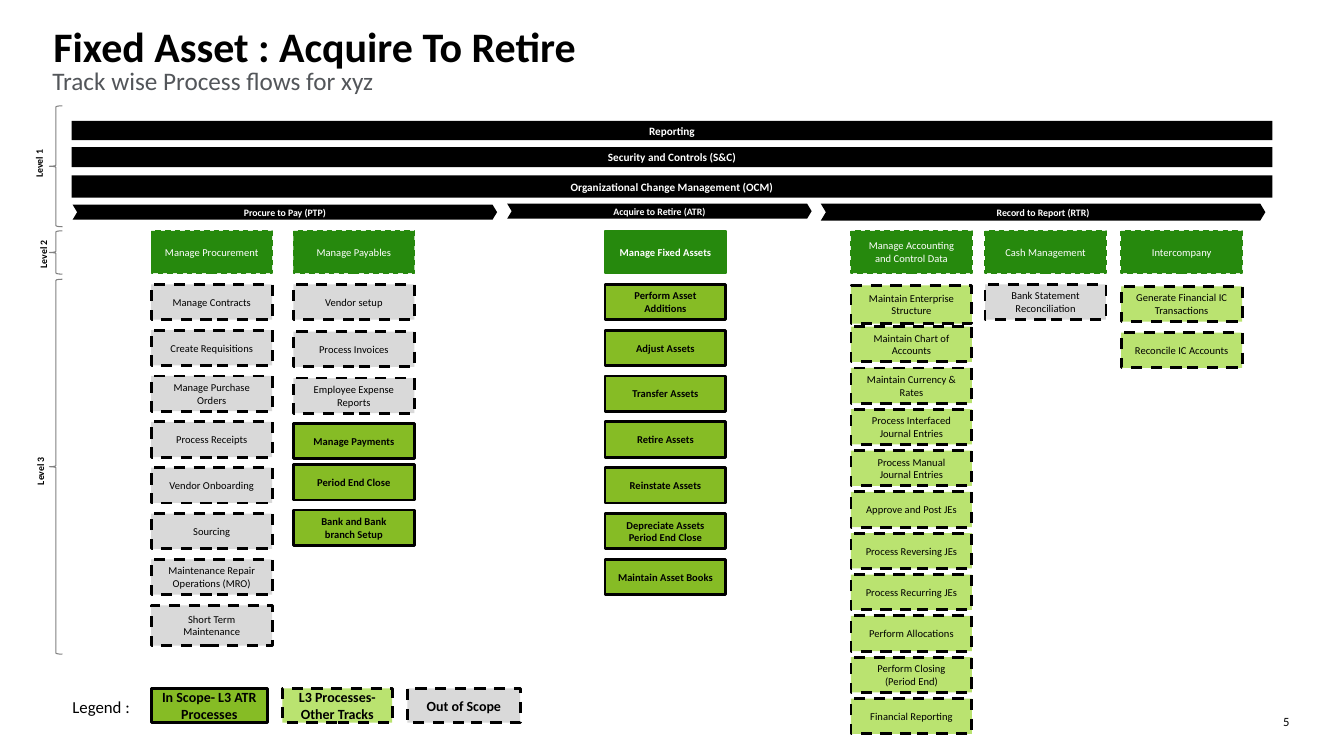
from pptx import Presentation
from pptx.dml.color import RGBColor
from pptx.enum import dml, shapes, text
from pptx.oxml import ns
from pptx.util import Inches, Pt
from lxml import etree

COLORS = {"black": "000000", "white": "FFFFFF", "green": "26890D", "lime": "86BC25",
          "pale": "BAE370", "grey": "D9D9D9", "brace": "808080", "subtitle": "53565A"}
STYLES = {
    "bar": ("black", None, 0, False, "white", True),
    "planned": ("green", "green", 1, True, "white", False),
    "active": ("green", "green", 1, False, "white", True),
    "in scope": ("lime", "black", 2, False, "black", True),
    "other": ("pale", "black", 2, True, "black", False),
    "out": ("grey", "black", 2, True, "black", False),
}


def write(frame, wording, size, color, bold=False, align=text.PP_ALIGN.LEFT, margin=None):
    frame.text = wording
    frame.word_wrap = True
    frame.auto_size = text.MSO_AUTO_SIZE.NONE
    if margin is not None:
        frame.margin_left = frame.margin_right = Inches(margin)
        frame.margin_top = frame.margin_bottom = Inches(margin)
    for paragraph in frame.paragraphs:
        paragraph.alignment = align
        paragraph.space_before = Pt(0)
        for run in paragraph.runs:
            run.font.name = "Calibri"
            run.font.size = Pt(size)
            run.font.bold = bold
            run.font.color.rgb = RGBColor.from_string(COLORS[color])


def add_box(wording, style, left, top, width, height, size=7.5, kind=shapes.MSO_SHAPE.RECTANGLE):
    fill, line, weight, dashed, ink, bold = STYLES[style]
    box = slide.shapes.add_shape(kind, Inches(left), Inches(top), Inches(width), Inches(height))
    box.shadow.inherit = False
    box.fill.solid()
    box.fill.fore_color.rgb = RGBColor.from_string(COLORS[fill])
    if line:
        box.line.color.rgb = RGBColor.from_string(COLORS[line])
        box.line.width = Pt(weight)
        if dashed:
            box.line.dash_style = dml.MSO_LINE.DASH
    else:
        box.line.fill.background()
    write(box.text_frame, wording, size, ink, bold or size == 10, text.PP_ALIGN.CENTER)
    box.text_frame.vertical_anchor = text.MSO_ANCHOR.MIDDLE
    return box


prs = Presentation()
prs.slide_width, prs.slide_height = Inches(13.33), Inches(7.5)
slide = prs.slides.add_slide(prs.slide_layouts[1])

title, subtitle = slide.placeholders
headings = [
    (title, "Fixed Asset : Acquire To Retire", 0.53, 0.2, 0.37, 30, "black", True),
    (subtitle, "Track wise Process flows for xyz", 0.52, 0.65, 0.4, 18, "subtitle", False),
]
for heading, wording, left, top, height, size, color, bold in headings:
    heading.left, heading.top = Inches(left), Inches(top)
    heading.width, heading.height = Inches(12.24), Inches(height)
    write(heading.text_frame, wording, size, color, bold, margin=0)
    heading.text_frame.vertical_anchor = text.MSO_ANCHOR.TOP
subtitle_format = subtitle.text_frame.paragraphs[0]._p.get_or_add_pPr()
subtitle_format.set("marL", "0")
subtitle_format.set("indent", "0")
etree.SubElement(subtitle_format, ns.qn("a:buNone"))

for wording, top, height in [("Reporting", 1.2, 0.19), ("Security and Controls (S&C)", 1.46, 0.2),
                             ("Organizational Change Management (OCM)", 1.74, 0.22)]:
    add_box(wording, "bar", 0.71, top, 11.91, height, 8)

for wording, left, top, width, height in [("Procure to Pay (PTP)", 0.72, 2.03, 4.21, 0.15),
                                          ("Acquire to Retire (ATR)", 5.03, 2.02, 3.02, 0.15),
                                          ("Record to Report (RTR)", 8.14, 2.02, 4.41, 0.17)]:
    track = add_box(wording, "bar", left, top, width, height, 7, shapes.MSO_SHAPE.CHEVRON)
    track.adjustments[0] = 0.3

for wording, top, height, label_left, label_top, label_width in [
        ("Level 1", 1.05, 1.2, 0.15, 1.51, 0.48),
        ("Level 2", 2.29, 0.43, 0.19, 2.41, 0.48),
        ("Level 3", 2.77, 3.72, 0.13, 4.53, 0.54)]:
    brace = slide.shapes.add_shape(shapes.MSO_SHAPE.LEFT_BRACE, Inches(0.49), Inches(top),
                                   Inches(0.13), Inches(height))
    brace.shadow.inherit = False
    brace.fill.background()
    brace.line.color.rgb = RGBColor.from_string(COLORS["brace"])
    brace.line.width = Pt(0.75)
    level = slide.shapes.add_textbox(Inches(label_left), Inches(label_top),
                                     Inches(label_width), Inches(0.22))
    level.rotation = 270
    write(level.text_frame, wording, 7, "black", True)
    level.text_frame.word_wrap = False

even_tops = [2.82 + 0.455 * row for row in range(8)]
dense_tops = [2.83 + 0.41 * row for row in range(11)]
payables_tops = [2.82, 3.29, 3.75, 4.2, 4.61, 5.06]
intercompany_tops = [2.84, 3.3]
tall_boxes = {"Short Term Maintenance": 0.4, "Maintain Enterprise Structure": 0.38}

columns = [
    ("Manage Procurement", "planned", 1.5, even_tops, [
        ("out", ["Manage Contracts", "Create Requisitions", "Manage Purchase Orders",
                 "Process Receipts", "Vendor Onboarding", "Sourcing",
                 "Maintenance Repair Operations (MRO)", "Short Term Maintenance"])]),
    ("Manage Payables", "planned", 2.91, payables_tops, [
        ("out", ["Vendor setup", "Process Invoices", "Employee Expense Reports"]),
        ("in scope", ["Manage Payments", "Period End Close", "Bank and Bank\vbranch Setup"])]),
    ("Manage Fixed Assets", "active", 6, even_tops, [
        ("in scope", ["Perform Asset Additions", "Adjust Assets", "Transfer Assets",
                      "Retire Assets", "Reinstate Assets",
                      "Depreciate Assets Period End Close", "Maintain Asset Books"])]),
    ("Manage Accounting and Control Data", "planned", 8.44, dense_tops, [
        ("other", ["Maintain Enterprise Structure", "Maintain Chart of Accounts",
                   "Maintain Currency & Rates", "Process Interfaced Journal Entries",
                   "Process Manual Journal Entries", "Approve and Post JEs",
                   "Process Reversing JEs", "Process Recurring JEs", "Perform Allocations",
                   "Perform Closing\n(Period End)", "Financial Reporting"])]),
    ("Cash Management", "planned", 9.77, even_tops, [("out", ["Bank Statement Reconciliation"])]),
    ("Intercompany", "planned", 11.12, intercompany_tops, [
        ("other", ["Generate Financial IC Transactions", "Reconcile IC Accounts"])]),
]
for area, area_style, left, tops, groups in columns:
    add_box(area, area_style, left, 2.29, 1.2, 0.42)
    processes = [(style, name) for style, names in groups for name in names]
    for top, (style, name) in zip(tops, processes):
        add_box(name, style, left, top, 1.2, tall_boxes.get(name, 0.35))

legend = slide.shapes.add_textbox(Inches(0.62), Inches(6.9), Inches(1), Inches(0.23))
write(legend.text_frame, "Legend :", 12, "black")
legend.text_frame.vertical_anchor = text.MSO_ANCHOR.MIDDLE
for wording, style, left, width in [("In Scope- L3 ATR Processes", "in scope", 1.5, 1.15),
                                    ("L3 Processes- Other Tracks", "other", 2.8, 1.09),
                                    ("Out of Scope", "out", 4.04, 1.12)]:
    add_box(wording, style, left, 6.83, width, 0.34, 10)

page_number = slide.shapes.add_textbox(Inches(12.45), Inches(7.08), Inches(0.34), Inches(0.15))
write(page_number.text_frame, "5", 9, "black", align=text.PP_ALIGN.RIGHT, margin=0)

prs.save("out.pptx")
